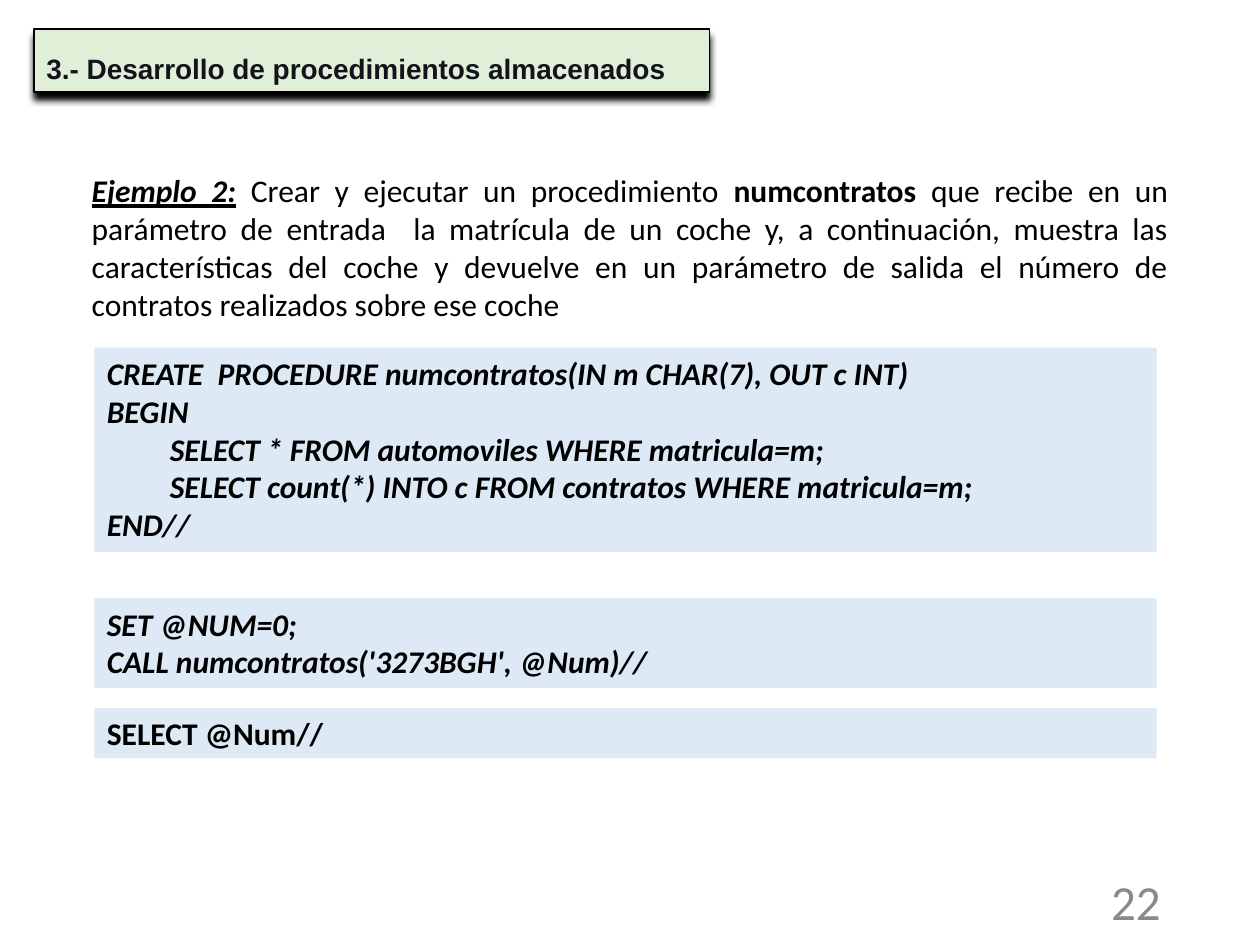
import dataclasses
import typing

import lxml.etree
import pptx
import pptx.dml.color
import pptx.enum.shapes
import pptx.enum.text
import pptx.oxml
import pptx.oxml.ns
import pptx.util

RGBColor = pptx.dml.color.RGBColor
Align = pptx.enum.text.PP_ALIGN
Anchor = pptx.enum.text.MSO_ANCHOR

BLACK = RGBColor(0x00, 0x00, 0x00)
INK = RGBColor(0x11, 0x15, 0x1A)
GREY = RGBColor(0x89, 0x89, 0x89)
GREEN = RGBColor(0xE1, 0xEF, 0xD8)
BLUE = RGBColor(0xDD, 0xEA, 0xF6)

WIDE, HIGH = 10, 7.5  # slide size in inches


@dataclasses.dataclass(frozen=True)
class Area:
    """A rectangle given in percent of the slide's width and height."""
    left: float
    top: float
    width: float
    height: float

    def place(self) -> list[int]:
        return [pptx.util.Inches(part * side / 100) for part, side in
                ((self.left, WIDE), (self.top, HIGH),
                 (self.width, WIDE), (self.height, HIGH))]


@dataclasses.dataclass(frozen=True)
class Code:
    """A code panel: top and height in percent, its lines and slant."""
    top: float
    height: float
    lines: tuple[str, ...]
    slant: bool = True


CODES = (
    Code(36.8, 21.6, (
        "CREATE  PROCEDURE numcontratos(IN m CHAR(7), OUT c INT)",
        "BEGIN",
        "\tSELECT * FROM automoviles WHERE matricula=m;",
        "\tSELECT count(*) INTO c FROM contratos WHERE matricula=m;",
        "END//")),
    Code(63.33, 9.47, ("SET @NUM=0;", "CALL numcontratos('3273BGH', @Num)//")),
    Code(74.93, 5.33, ("SELECT @Num//",), slant=False),
)


def write(para: typing.Any, text: str, *, size: float = 18,
          face: str = "Calibri", color: RGBColor = BLACK, bold: bool = False,
          slant: bool = False, under: bool = False) -> None:
    run = para.add_run()
    run.text = text
    font = run.font
    font.size, font.name = pptx.util.Pt(size), face
    font.bold, font.italic, font.underline = bold, slant, under
    font.color.rgb = color


def panel(slide: typing.Any, area: Area, fill: RGBColor) -> typing.Any:
    shape = slide.shapes.add_shape(
        pptx.enum.shapes.MSO_SHAPE.RECTANGLE, *area.place())
    shape.shadow.inherit = False
    shape.fill.solid()
    shape.fill.fore_color.rgb = fill
    shape.line.fill.background()
    frame = shape.text_frame
    frame.word_wrap = True
    frame.vertical_anchor = Anchor.TOP
    frame.paragraphs[0].alignment = Align.LEFT
    return shape


def label(slide: typing.Any, area: Area, align: Align,
          anchor: Anchor = Anchor.TOP) -> typing.Any:
    frame = slide.shapes.add_textbox(*area.place()).text_frame
    frame.word_wrap = True
    frame.vertical_anchor = anchor
    para = frame.paragraphs[0]
    para.alignment = align
    return para


def shade(shape: typing.Any) -> None:
    """Give the shape a black shadow, 4 pt straight down."""
    effects = shape._element.spPr.find(pptx.oxml.ns.qn("a:effectLst"))
    reach = str(pptx.util.Pt(4))
    shadow = lxml.etree.SubElement(
        effects, pptx.oxml.ns.qn("a:outerShdw"),
        blurRad=reach, dist=reach, dir=str(90 * 60000), rotWithShape="0")
    lxml.etree.SubElement(
        shadow, pptx.oxml.ns.qn("a:srgbClr"), val=str(BLACK))


def head(slide: typing.Any) -> None:
    shape = panel(slide, Area(2.7, 3.07, 53.6, 6.67), GREEN)
    shape.line.color.rgb = BLACK
    shape.line.width = pptx.util.Pt(0.75)
    shade(shape)
    para = shape.text_frame.paragraphs[0]
    para.line_spacing = 1.5
    indent = pptx.util.Inches(0.5)
    props = para._p.get_or_add_pPr()
    props.set("marL", str(indent))
    props.set("indent", str(-indent))
    write(para, "3.- Desarrollo de procedimientos almacenados",
          size=16, face="Arial", color=INK, bold=True)


def task(slide: typing.Any) -> None:
    para = label(slide, Area(6.3, 17.47, 87.4, 57.87), Align.JUSTIFY)
    write(para, "Ejemplo 2:", bold=True, slant=True, under=True)
    write(para, " Crear y ejecutar un procedimiento ")
    write(para, "numcontratos ", bold=True)
    write(para, "que recibe en un parámetro de entrada  la matrícula de un "
                "coche y, a continuación, muestra las características del "
                "coche y devuelve en un parámetro de salida el número de "
                "contratos realizados sobre ese coche")


def listing(slide: typing.Any, code: Code) -> None:
    area = Area(7.5, code.top, 84.3, code.height)
    frame = panel(slide, area, BLUE).text_frame
    for row, line in enumerate(code.lines):
        para = frame.add_paragraph() if row else frame.paragraphs[0]
        para.alignment = Align.LEFT
        write(para, line, bold=True, slant=code.slant)


def main() -> None:
    deck = pptx.Presentation()
    deck.slide_width = pptx.util.Inches(WIDE)
    deck.slide_height = pptx.util.Inches(HIGH)
    slide = deck.slides.add_slide(deck.slide_layouts[6])

    # Heading, page number and task
    head(slide)
    page = label(slide, Area(70.6, 92.67, 22.5, 5.33),
                 Align.RIGHT, Anchor.MIDDLE)
    write(page, "22", size=28, color=GREY)
    task(slide)

    # Code panels
    for code in CODES:
        listing(slide, code)

    deck.save("out.pptx")


if __name__ == "__main__":
    main()
